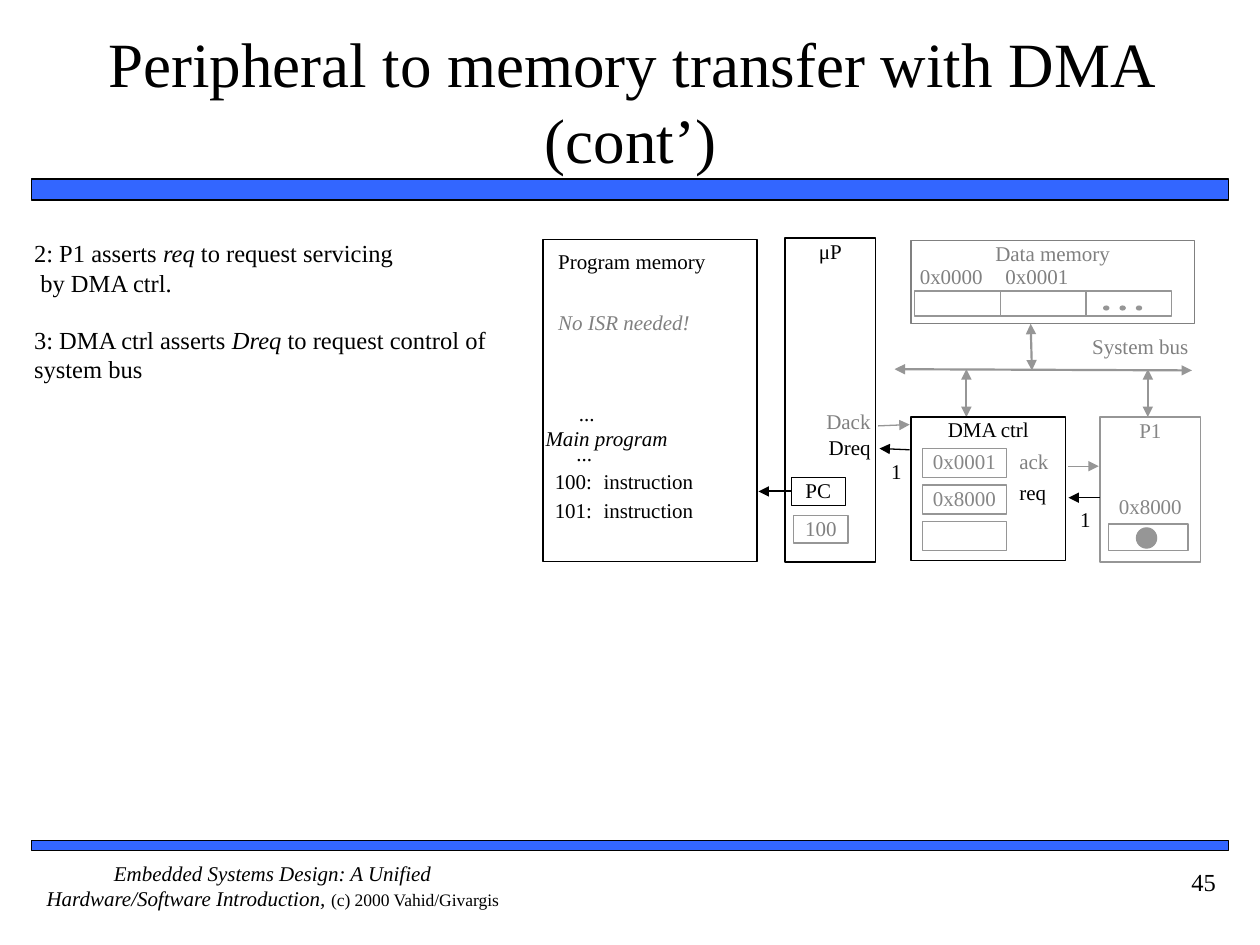
"""Build the slide on peripheral to memory transfer with DMA."""
from lxml import etree
from pptx import Presentation
from pptx import util as u
from pptx.dml import color as dml
from pptx.enum import shapes, text
from pptx.oxml import ns

SCALE = 9144
FONT = "Times New Roman"
COLORS = {"black": "000000", "gray": "808080", "value": "868686",
          "line": "969696", "bar": "3366FF", "white": "FFFFFF"}
LEFT, CENTER, RIGHT = text.PP_ALIGN.LEFT, text.PP_ALIGN.CENTER, text.PP_ALIGN.RIGHT


def px(*lengths):
    return [u.Emu(length * SCALE) for length in lengths]


def rgb(name):
    return dml.RGBColor.from_string(COLORS[name])


class Diagram:
    """Draw styled elements on one slide."""

    def __init__(self, presentation):
        self.slide = presentation.slides.add_slide(presentation.slide_layouts[1])

    def format_frame(self, frame, align, anchor=text.MSO_ANCHOR.TOP, margin=(0, 0)):
        frame.word_wrap = True
        frame.auto_size = text.MSO_AUTO_SIZE.NONE
        frame.vertical_anchor = anchor
        frame.margin_left = frame.margin_right = px(margin[0])[0]
        frame.margin_top = frame.margin_bottom = px(margin[1])[0]
        for paragraph in frame.paragraphs:
            paragraph.alignment = align

    def format_runs(self, paragraph, size=12, color="black", italic=False):
        for run in paragraph.runs:
            run.font.name = FONT
            run.font.size = u.Pt(size)
            run.font.italic = italic
            run.font.color.rgb = rgb(color)

    def add_runs(self, paragraph, runs):
        for content, size, italic in runs:
            run = paragraph.add_run()
            run.text = content
            run.font.name, run.font.size = FONT, u.Pt(size)
            run.font.italic = italic
            run.font.color.rgb = rgb("black")

    def place(self, shape, box):
        shape.left, shape.top, shape.width, shape.height = px(*box)

    def title(self, box, content):
        shape = self.slide.shapes.title
        self.place(shape, box)
        shape.text_frame.text = content
        self.format_frame(shape.text_frame, CENTER, text.MSO_ANCHOR.MIDDLE, (0, 5))
        self.format_runs(shape.text_frame.paragraphs[0], 36)

    def body(self, box, paragraphs):
        shape = self.slide.placeholders[1]
        self.place(shape, box)
        frame = shape.text_frame
        for index, (indent, before, runs) in enumerate(paragraphs):
            paragraph = frame.add_paragraph() if index else frame.paragraphs[0]
            properties = paragraph._p.get_or_add_pPr()
            properties.set("marL", str(indent * SCALE))
            properties.set("indent", "0")
            etree.SubElement(properties, ns.qn("a:buNone"))
            paragraph.space_before = u.Pt(before)
            self.add_runs(paragraph, runs)
        self.format_frame(frame, LEFT)

    def label(self, box, content, color="black", align=LEFT, italic=False,
              size=12, margin=(0, 0)):
        frame = self.slide.shapes.add_textbox(*px(*box)).text_frame
        frame.text = content
        self.format_frame(frame, align, margin=margin)
        self.format_runs(frame.paragraphs[0], size, color, italic)

    def footer(self, box, runs):
        frame = self.slide.shapes.add_textbox(*px(*box)).text_frame
        self.add_runs(frame.paragraphs[0], runs)
        self.format_frame(frame, CENTER)

    def shape(self, box, line="line", fill=None, content="", color="black",
              kind=shapes.MSO_SHAPE.RECTANGLE, weight=0.75):
        shape = self.slide.shapes.add_shape(kind, *px(*box))
        shape.shadow.inherit = False
        if fill:
            shape.fill.solid()
            shape.fill.fore_color.rgb = rgb(fill)
        else:
            shape.fill.background()
        shape.line.color.rgb = rgb(line)
        shape.line.width = u.Pt(weight)
        if content:
            shape.text_frame.text = content
            self.format_frame(shape.text_frame, CENTER)
            self.format_runs(shape.text_frame.paragraphs[0], color=color)
        return shape

    def dot(self, box):
        self.shape(box, fill="line", kind=shapes.MSO_SHAPE.OVAL)

    def arrow(self, points, color="line", weight=0.75, double=False):
        connector = self.slide.shapes.add_connector(
            shapes.MSO_CONNECTOR.STRAIGHT, *px(*points))
        connector.line.color.rgb = rgb(color)
        connector.line.width = u.Pt(weight)
        outline = connector.line._get_or_add_ln()
        for end in ["headEnd", "tailEnd"] if double else ["tailEnd"]:
            etree.SubElement(outline, ns.qn("a:" + end), type="triangle")
        etree.SubElement(connector._element.spPr, ns.qn("a:effectLst"))
        return connector


def main():
    presentation = Presentation()
    presentation.slide_width, presentation.slide_height = px(1000, 750)
    diagram = Diagram(presentation)

    for top, height in [(142, 17), (667, 8)]:
        diagram.shape((25, top, 950, height), "black", "bar", weight=1)
    diagram.footer((25, 683, 383, 50), [
        ("Embedded Systems Design: A Unified Hardware/Software Introduction, ", 12, True),
        ("(c) 2000 Vahid/Givargis", 10, False)])
    diagram.label((875, 683, 100, 50), "45", align=RIGHT, size=14, margin=(10, 5))
    diagram.title((42, 17, 917, 125), "Peripheral to memory transfer with DMA (cont’)")
    diagram.body((27, 189, 364, 134), [
        (0, 0, [("2: P1 asserts ", 14, False), ("req", 14, True),
                (" to request servicing", 14, False)]),
        (5, 0, [("by DMA ctrl.", 14, False)]),
        (0, 16, [("3: DMA ctrl asserts ", 14, False), ("Dreq", 14, True),
                 (" to request control of system bus", 14, False)])])

    diagram.shape((723, 191, 225, 66), "gray", content="Data memory", color="gray")
    for index in range(3):
        diagram.shape((726 + 68 * index, 231, 68, 20))
        diagram.dot((876 + 13 * index, 243, 4, 3))
    for left, address in [(730, "0x0000"), (798, "0x0001")]:
        diagram.label((left, 209, 69, 20), address, "gray")

    diagram.label((854, 265, 102, 32), "System bus", "gray", CENTER)
    for points in [(710, 293, 946, 294), (767, 293, 767, 331),
                   (911, 293, 911, 331), (818, 257, 819, 294)]:
        diagram.arrow(points, weight=1.25, double=True)

    diagram.shape((431, 190, 170, 256), "black", "white")
    diagram.label((443, 197, 157, 26), "Program memory")
    diagram.label((443, 246, 147, 22), "No ISR needed!", "gray", italic=True)
    diagram.label((433, 338, 134, 25), "Main program", italic=True)
    for left, top in [(443, 318), (441, 350)]:
        diagram.label((left, top, 29, 20), "...", align=RIGHT)
    for top, address in [(372, "100:"), (395, "101:")]:
        diagram.label((430, top, 40, 20), address, align=RIGHT)
        diagram.label((479, top, 103, 20), "instruction")

    diagram.shape((623, 189, 72, 257), "black", "white", "μP")
    counter = diagram.shape((628, 379, 43, 22), "black", "white", "PC")
    diagram.shape((630, 409, 43, 22), "line", "white", "100", "gray")
    diagram.arrow((628, 390, 602, 390), "black", 1.25).begin_connect(counter, 1)
    for top, signal, color in [(324, "Dack", "gray"), (345, "Dreq", "black")]:
        diagram.label((643, top, 48, 26), signal, color, RIGHT)

    diagram.shape((723, 331, 123, 114), "black", "white", "DMA ctrl")
    for index, value in enumerate(["0x0001", "0x8000", ""]):
        diagram.shape((732, 356 + 29 * index, 67, 23), content=value, color="value")
    for top, signal, color in [(356, "ack", "gray"), (381, "req", "black")]:
        diagram.label((809, top, 35, 27), signal, color)

    diagram.shape((873, 331, 80, 115), content="P1", color="value")
    diagram.label((881, 392, 64, 22), "0x8000", "value", CENTER)
    diagram.shape((880, 416, 63, 21), fill="white")
    diagram.dot((902, 419, 16, 16))

    for points, color in [((697, 338, 722, 337), "line"), ((722, 357, 698, 356), "black"),
                          ((848, 370, 872, 370), "line"), ((873, 395, 848, 395), "black")]:
        diagram.arrow(points, color)
    for left, top in [(700, 364), (850, 402)]:
        diagram.label((left, top, 23, 20), "1", align=CENTER)

    presentation.save("out.pptx")


if __name__ == "__main__":
    main()
